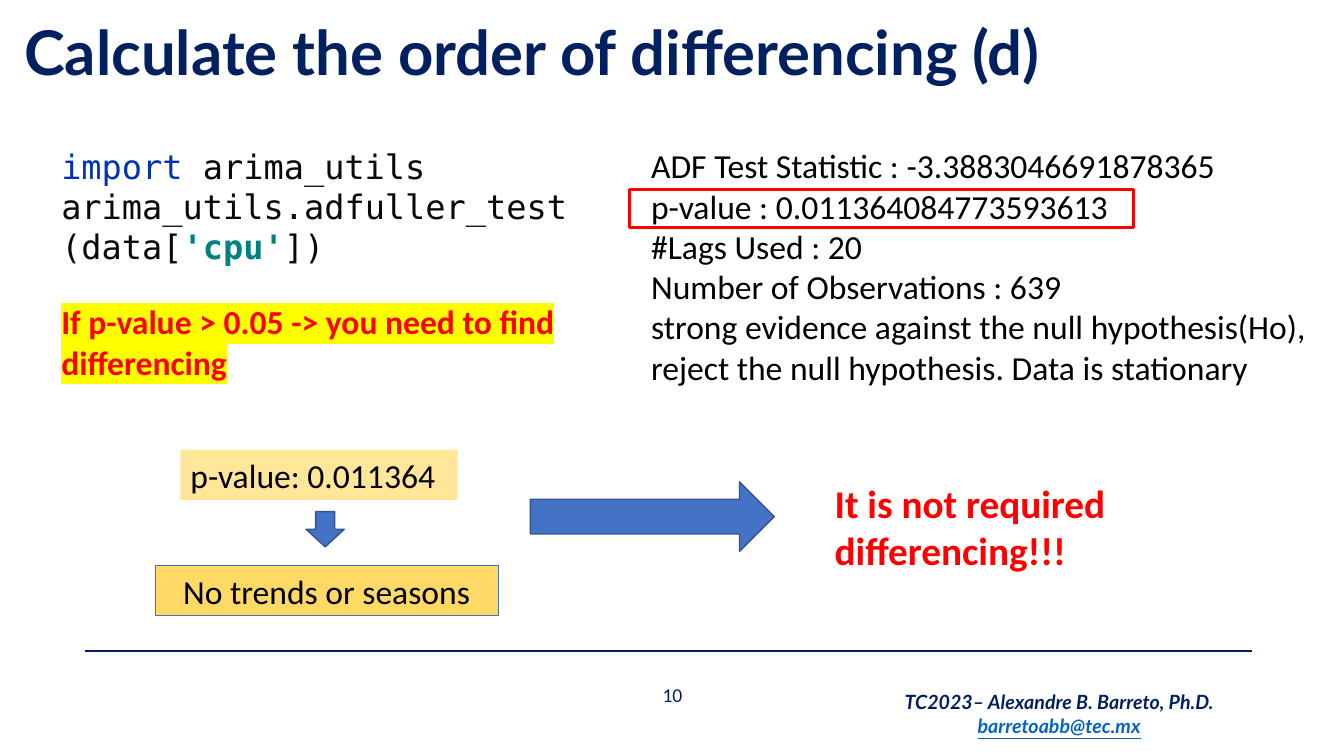
import pptx
import pptx.util
import pptx.dml.color
import pptx.enum.shapes
import pptx.enum.text
import pptx.oxml
import pptx.oxml.ns

Inches, Pt = pptx.util.Inches, pptx.util.Pt
SHAPE = pptx.enum.shapes.MSO_SHAPE
ALIGN = pptx.enum.text.PP_ALIGN
ANCHOR = pptx.enum.text.MSO_ANCHOR

NAVY, RED, BLACK, BLUE, EDGE = "002060", "FF0000", "000000", "4472C4", "325491"
MONO = "DejaVu Sans Mono"

TITLE = "Calculate the order of differencing (d)"
# Each run is (text, colour, bold); "\n" is a line break
CODE = [
    ("import ", "0033B3", False),
    ("arima_utils", "080808", False),
    ("\n", None, False),
    ("arima_utils.adfuller_test(data[", "080808", False),
    ("'cpu'", "008080", True),
    ("])", "080808", False),
]
ADF_RESULT = [
    "ADF Test Statistic : -3.3883046691878365",
    "p-value : 0.011364084773593613",
    "#Lags Used : 20",
    "Number of Observations : 639",
    "strong evidence against the null hypothesis(Ho), "
    "reject the null hypothesis. Data is stationary",
]
RULE = ["If p-value > 0.05 -> you need to find differencing"]
P_VALUE = ["p-value: 0.011364"]
NO_TRENDS = ["No trends or seasons"]
CONCLUSION = ["It is not required differencing!!!"]
PAGE = ["10"]
AUTHOR = ["TC2023– Alexandre B. Barreto, Ph.D.", "barretoabb@tec.mx"]


def rgb(value):
    return pptx.dml.color.RGBColor.from_string(value)


def style(font, size, color, name="Calibri", bold=False, italic=False):
    font.size, font.name = Pt(size), name
    font.bold, font.italic = bold, italic
    font.color.rgb = rgb(color)


def add_box(s, box, fill=None, line=None, width=1, kind=SHAPE.RECTANGLE):
    sp = s.shapes.add_shape(kind, *map(Inches, box))
    sp.shadow.inherit = False
    if fill:
        sp.fill.solid()
        sp.fill.fore_color.rgb = rgb(fill)
    else:
        sp.fill.background()
    if line:
        sp.line.color.rgb = rgb(line)
        sp.line.width = Pt(width)
    else:
        sp.line.fill.background()
    return sp


def write(sp, lines, size, color, align=ALIGN.LEFT, anchor=ANCHOR.TOP, **look):
    tf = sp.text_frame
    tf.word_wrap = True
    tf.vertical_anchor = anchor
    tf.text = "\n".join(lines)
    for p in tf.paragraphs:
        p.alignment = align
        for r in p.runs:
            style(r.font, size, color, **look)
    return tf


def add_text(s, box, lines, size, color, **look):
    return write(s.shapes.add_textbox(*map(Inches, box)), lines, size, color, **look)


def highlight(r, color):
    mark = pptx.oxml.parse_xml(
        f'<a:highlight {pptx.oxml.ns.nsdecls("a")}><a:srgbClr val="{color}"/></a:highlight>')
    r.font._element.find(pptx.oxml.ns.qn("a:solidFill")).addnext(mark)


prs = pptx.Presentation()
prs.slide_width, prs.slide_height = Inches(13.33), Inches(7.5)
s = prs.slides.add_slide(prs.slide_layouts[5])

# Title
title = s.shapes.title
title.left, title.top, title.width, title.height = map(Inches, (0.14, 0.04, 11.5, 1.03))
tf = write(title, [TITLE], 44, NAVY, anchor=ANCHOR.MIDDLE, name="Lato", bold=True)
tf.auto_size = pptx.enum.text.MSO_AUTO_SIZE.NONE
tf.paragraphs[0].line_spacing = 0.9

# Footer
rule = s.shapes.add_connector(pptx.enum.shapes.MSO_CONNECTOR.STRAIGHT,
                              *map(Inches, (0.84, 6.46, 12.42, 6.46)))
rule.line.color.rgb = rgb(NAVY)
rule.line.width = Pt(1.5)
rule._element.spPr.append(pptx.oxml.parse_xml(
    f'<a:effectLst {pptx.oxml.ns.nsdecls("a")}/>'))
add_text(s, (5.81, 6.79, 1.72, 0.2), PAGE, 14, NAVY,
         align=ALIGN.CENTER, anchor=ANCHOR.MIDDLE)
tf = add_text(s, (8.67, 6.8, 3.67, 0.57), AUTHOR, 14, NAVY,
              align=ALIGN.CENTER, name="Lato", bold=True, italic=True)
email = tf.paragraphs[1].runs[0]
email.font.color.rgb = rgb("0563C1")
email.font.underline = True

# Code
code = add_box(s, (0.51, 1.59, 5.23, 0.91), "FFFFFF")
code.text_frame.word_wrap = True
code.text_frame.vertical_anchor = ANCHOR.MIDDLE
p = code.text_frame.paragraphs[0]
p.alignment = ALIGN.LEFT
for text, color, bold in CODE:
    if text == "\n":
        p.add_line_break()
        continue
    r = p.add_run()
    r.text = text
    style(r.font, 24, color, MONO, bold)

# Test result with the p-value framed
write(add_box(s, (6.36, 1.39, 6.73, 2.52), "FFFFFF"), ADF_RESULT, 24, BLACK)
add_box(s, (6.24, 1.88, 5, 0.38), line=RED, width=2.25)

# Decision rule
tf = add_text(s, (0.51, 2.94, 5.36, 0.91), RULE, 24, RED, bold=True)
highlight(tf.paragraphs[0].runs[0], "FFFF00")

# From p-value to conclusion
write(add_box(s, (1.79, 4.46, 2.75, 0.5), "FFE699"), P_VALUE, 24, BLACK)
write(add_box(s, (1.54, 5.61, 3.4, 0.5), "FFD966", BLUE, 0.75), NO_TRENDS, 24, BLACK,
      align=ALIGN.CENTER)
down = add_box(s, (3.05, 5.06, 0.35, 0.38), BLUE, EDGE, kind=SHAPE.RIGHT_ARROW)
down.rotation = 90
add_box(s, (5.26, 4.78, 2.42, 0.69), BLUE, EDGE, kind=SHAPE.RIGHT_ARROW)
add_text(s, (8.18, 4.71, 3.61, 1.04), CONCLUSION, 28, RED, bold=True)

prs.save("out.pptx")
